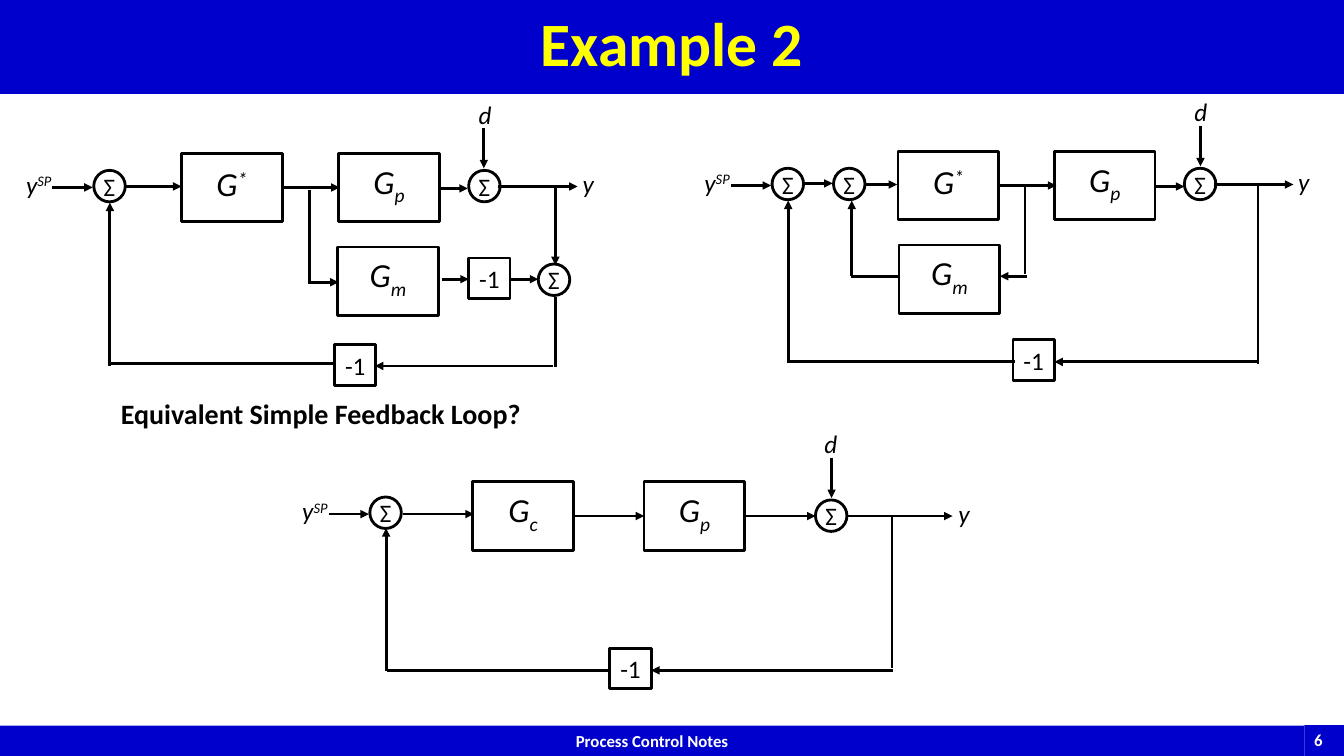
from lxml import etree
from pptx import Presentation
from pptx.dml.color import RGBColor
from pptx.enum.shapes import MSO_CONNECTOR, MSO_SHAPE
from pptx.enum.text import MSO_ANCHOR, PP_ALIGN
from pptx.oxml.ns import qn
from pptx.util import Pt

STRAIGHT = MSO_CONNECTOR.STRAIGHT
RECTANGLE, OVAL = MSO_SHAPE.RECTANGLE, MSO_SHAPE.OVAL
LEFT, CENTER, MIDDLE = PP_ALIGN.LEFT, PP_ALIGN.CENTER, MSO_ANCHOR.MIDDLE
BLUE, YELLOW, WHITE, BLACK = "0000CC", "FFFF00", "FFFFFF", "000000"


def rgb(color):
    return RGBColor.from_string(color)


def write(box, spans, size, color=BLACK, bold=False, italic=False, align=LEFT, wrap=False):
    """Fill a shape with (text, baseline shift in percent) spans."""
    frame = box.text_frame
    frame.word_wrap = wrap
    para = frame.paragraphs[0]
    para.alignment = align
    for text, shift in spans:
        span = para.add_run()
        span.text = text
        span.font.name, span.font.size = "Calibri", Pt(size)
        span.font.bold, span.font.italic = bold, italic
        span.font.color.rgb = rgb(color)
        if shift:
            span.font._element.set("baseline", str(shift * 1000))


# Symbols
G_STAR = [("G", 0), ("*", 30)]
G_P = [("G", 0), ("p", -25)]
G_M = [("G", 0), ("m", -25)]
G_C = [("G", 0), ("c", -25)]
SETPOINT = [("y", 0), ("SP", 30)]
DISTURBANCE, OUTPUT = [("d", 0)], [("y", 0)]
SUM, MINUS = [("Σ", 0)], [("-1", 0)]

# Node kinds: preset, width, height, text size, italic, bottom inset
KINDS = {
    "blocks": (RECTANGLE, 72, 49, 24, True, 5.8),
    "sums": (OVAL, 22.5, 22.5, 18, False, 0),
    "units": (RECTANGLE, 29.5, 29, 18, False, 0),
}

# Nodes and labels are (symbol, left, top); arrows and wires are (x1, y1, x2, y2)
DIAGRAMS = [
    {   # Internal model control loop
        "blocks": [(G_STAR, 129.6, 109.4), (G_P, 241.9, 109.4), (G_M, 241.2, 176.4)],
        "sums": [(SUM, 67, 121.7), (SUM, 334.8, 121.7), (SUM, 384.5, 188.6)],
        "units": [(MINUS, 239, 246.2), (MINUS, 334.8, 184.3)],
        "labels": [(SETPOINT, 11.5, 117.4), (DISTURBANCE, 334.8, 67.7), (OUTPUT, 409, 116.6)],
        "arrows": [
            (37.4, 133.9, 66.2, 133.9), (90, 133.2, 129.6, 133.2),
            (203, 133.9, 242.6, 133.9), (314.6, 134.6, 334.1, 134.6),
            (345.6, 91.4, 345.6, 120.2), (355.7, 133.2, 412.6, 133.2),
            (222.5, 201.6, 241.9, 201.6), (315.4, 199.4, 334.8, 199.4),
            (364.3, 199.4, 384.5, 199.4), (396.7, 132.5, 396.7, 189.4),
            (395.3, 261.4, 267.8, 261.4), (78.5, 261.4, 78.5, 144.7),
        ],
        "wires": [
            (221, 135.4, 221, 203), (396.7, 212.4, 396.7, 262.1),
            (239.8, 259.9, 77.8, 259.9),
        ],
    },
    {   # Model moved into an inner loop
        "blocks": [(G_STAR, 641.5, 108), (G_P, 753.1, 108), (G_M, 642.2, 175)],
        "sums": [(SUM, 551.5, 120.2), (SUM, 595.4, 120.2), (SUM, 846, 120.2)],
        "units": [(MINUS, 723.6, 242.6)],
        "labels": [(SETPOINT, 496.1, 115.9), (DISTURBANCE, 846, 65.5), (OUTPUT, 920.2, 115.2)],
        "arrows": [
            (522, 132.5, 550.8, 132.5), (574.6, 131, 594.7, 131),
            (618.5, 131.8, 640.8, 131.8), (714.2, 132.5, 754.6, 132.5),
            (825.8, 133.2, 846, 133.2), (857.5, 90, 857.5, 118.8),
            (866.9, 131.8, 923.8, 131.8), (733.7, 197.3, 714.2, 197.3),
            (608.4, 197.3, 608.4, 143.3), (897.8, 258.5, 753.1, 258.5),
            (563, 259.2, 563, 143.3),
        ],
        "wires": [
            (732.2, 133.9, 732.2, 195.8), (641.5, 197.3, 607.7, 197.3),
            (898.6, 131.8, 898.6, 259.9), (725, 258.5, 563, 258.5),
        ],
    },
    {   # Simple feedback loop
        "blocks": [(G_C, 337.7, 344.2), (G_P, 460.1, 344.2)],
        "sums": [(SUM, 264.2, 355), (SUM, 582.5, 357.1)],
        "units": [(MINUS, 435.6, 463)],
        "labels": [(SETPOINT, 208.8, 350.6), (DISTURBANCE, 581.8, 302.4), (OUTPUT, 677.5, 352.1)],
        "arrows": [
            (234.7, 367.2, 263.5, 367.2), (288, 367.2, 338.4, 367.2),
            (409, 368.6, 460.1, 368.6), (532.1, 368.6, 582.5, 368.6),
            (594, 326.9, 594, 355.7), (604.1, 368.6, 680.4, 368.6),
            (637.9, 478.8, 465.1, 478.8), (275.8, 479.5, 275.8, 377.3),
        ],
        "wires": [(637.2, 368.6, 637.2, 477.4), (435.6, 478.8, 276.5, 478.8)],
    },
]
LABEL_WIDTHS = {"ySP": 34.5, "d": 23.8, "y": 23}

deck = Presentation()
deck.slide_width, deck.slide_height = Pt(960), Pt(540)
page = deck.slides.add_slide(deck.slide_layouts[5])

# Title band
title = page.shapes.title
title.left, title.top, title.width, title.height = Pt(0), Pt(0), Pt(960), Pt(67)
title.fill.solid()
title.fill.fore_color.rgb = rgb(BLUE)
title.text_frame.vertical_anchor = MIDDLE
write(title, [("Example 2", 0)], 44, YELLOW, bold=True, align=CENTER, wrap=True)
title.text_frame.paragraphs[0].line_spacing = 0.9

# Footer band and page number
for text, left, top, width, align in [
    ("Process Control Notes", 0, 518.4, 931.7, CENTER),
    ("6", 931.7, 517.9, 28.3, LEFT),
]:
    band = page.shapes.add_textbox(Pt(left), Pt(top), Pt(width), Pt(22))
    band.fill.solid()
    band.fill.fore_color.rgb = rgb(BLUE)
    write(band, [(text, 0)], 12, WHITE, bold=True, align=align, wrap=True)

# Block diagrams
for diagram in DIAGRAMS:
    group = page.shapes.add_group_shape()

    # Transfer functions, summing points and sign changes
    for kind, (preset, width, height, size, italic, bottom) in KINDS.items():
        for symbol, left, top in diagram[kind]:
            node = group.shapes.add_shape(preset, Pt(left), Pt(top), Pt(width), Pt(height))
            node.shadow.inherit = False
            node.fill.background()
            node.line.color.rgb = rgb(BLACK)
            node.line.width = Pt(2)
            frame = node.text_frame
            frame.margin_left = frame.margin_right = frame.margin_top = Pt(0)
            frame.margin_bottom = Pt(bottom)
            frame.vertical_anchor = MIDDLE
            write(node, symbol, size, italic=italic, align=CENTER)

    # Signal names
    for symbol, left, top in diagram["labels"]:
        name = "".join(text for text, shift in symbol)
        label = group.shapes.add_textbox(Pt(left), Pt(top), Pt(LABEL_WIDTHS[name]), Pt(29))
        write(label, symbol, 18, italic=True)

    # Signal paths
    for kind in ("arrows", "wires"):
        for ends in diagram[kind]:
            signal = group.shapes.add_connector(STRAIGHT, *[Pt(value) for value in ends])
            signal.line.color.rgb = rgb(BLACK)
            signal.line.width = Pt(2)
            if kind == "arrows":
                outline = signal.line._get_or_add_ln()
                etree.SubElement(outline, qn("a:tailEnd"), type="triangle")
            etree.SubElement(signal._element.spPr, qn("a:effectLst"))

# Question
question = page.shapes.add_textbox(Pt(79.2), Pt(279.4), Pt(301.7), Pt(31.5))
write(question, [("Equivalent Simple Feedback Loop?", 0)], 20, bold=True, wrap=True)

deck.save("out.pptx")
